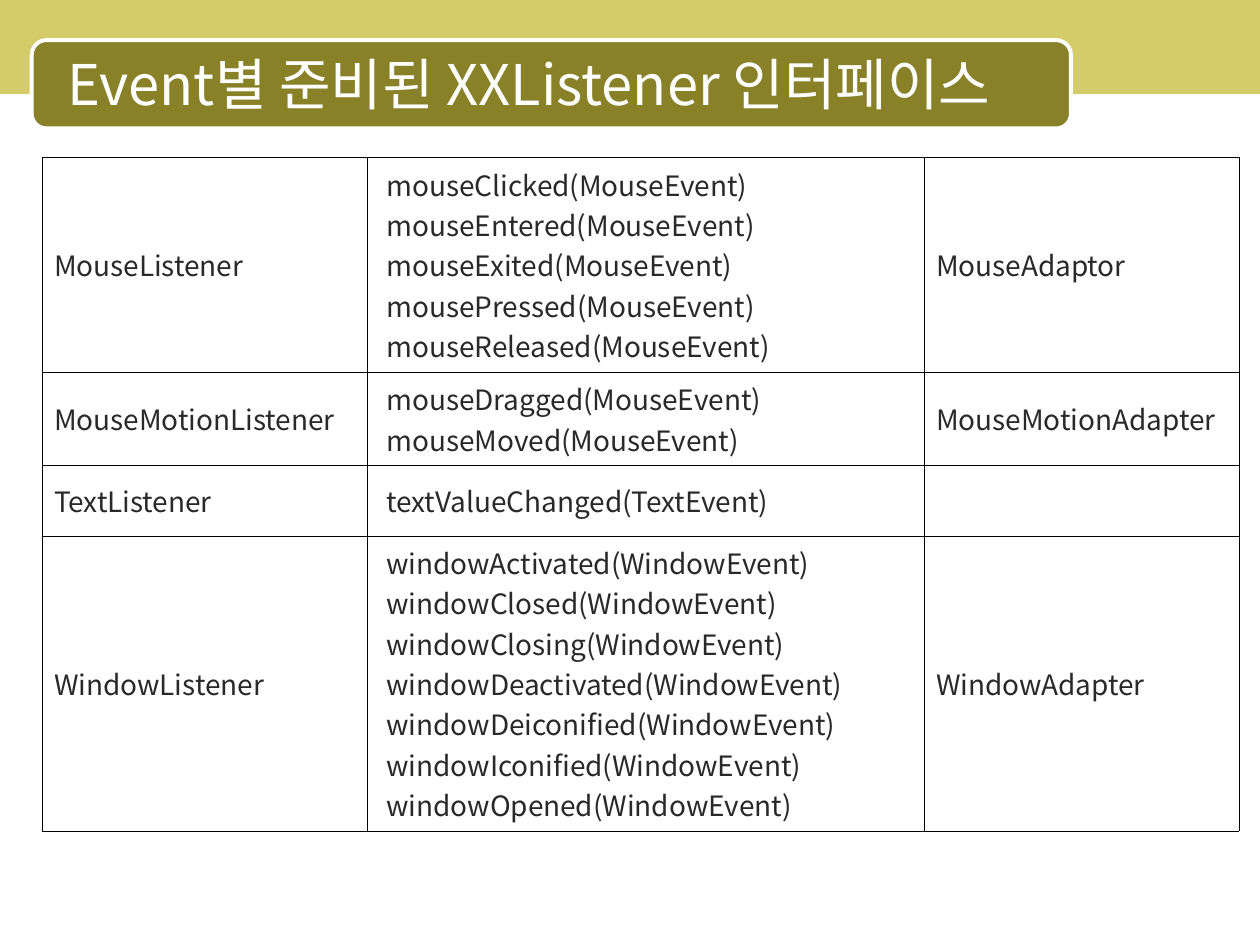
from dataclasses import dataclass

from lxml import etree
from pptx import Presentation
from pptx.dml.color import RGBColor
from pptx.enum import shapes, text
from pptx.oxml import ns
from pptx.util import Cm, Pt


@dataclass(frozen=True)
class Theme:
    """Colours, font and type sizes of the slide."""
    band: str = "D4CC6A"
    plate: str = "888128"
    light: str = "FFFFFF"
    body: str = "292929"
    border: str = "000000"
    font: str = "Noto Sans CJK KR"
    title_size: float = 32
    body_size: float = 16
    plate_line: float = 2.24
    border_width: float = 0.06


THEME = Theme()
TITLE = "Event별 준비된 XXListener 인터페이스"
COLUMN_WIDTHS = (6.55, 11.23, 6.35)
METHOD_COLUMN = 1
# listener, event class, method names, adapter, row height
LISTENERS = (
    ("MouseListener", "MouseEvent",
     ("mouseClicked", "mouseEntered", "mouseExited", "mousePressed",
      "mouseReleased"), "MouseAdaptor", 4.33),
    ("MouseMotionListener", "MouseEvent",
     ("mouseDragged", "mouseMoved"), "MouseMotionAdapter", 1.88),
    ("TextListener", "TextEvent", ("textValueChanged",), "", 1.42),
    ("WindowListener", "WindowEvent",
     ("windowActivated", "windowClosed", "windowClosing",
      "windowDeactivated", "windowDeiconified", "windowIconified",
      "windowOpened"), "WindowAdapter", 5.95),
)


def format_text(text_frame, size, color, alignment):
    """Format every paragraph and run of a text frame."""
    for paragraph in text_frame.paragraphs:
        paragraph.alignment = alignment
        for run in paragraph.runs:
            run.font.size = Pt(size)
            run.font.name = THEME.font
            run.font.color.rgb = RGBColor.from_string(color)
            east_asian = etree.SubElement(run.font._element, ns.qn("a:ea"))
            east_asian.set("typeface", THEME.font)


def add_panel(slide, kind, box, fill, line=None):
    """Add a filled preset shape, outlined if a line colour is given."""
    shape = slide.shapes.add_shape(kind, *map(Cm, box))
    shape.shadow.inherit = False
    shape.fill.solid()
    shape.fill.fore_color.rgb = RGBColor.from_string(fill)
    if line:
        shape.line.color.rgb = RGBColor.from_string(line)
        shape.line.width = Pt(THEME.plate_line)
    else:
        shape.line.fill.background()


def add_title(slide, box):
    """Add the slide title."""
    text_frame = slide.shapes.add_textbox(*map(Cm, box)).text_frame
    text_frame.word_wrap = True
    text_frame.margin_left = Cm(0.52)
    text_frame.vertical_anchor = text.MSO_ANCHOR.MIDDLE
    text_frame.text = TITLE
    format_text(text_frame, THEME.title_size, THEME.light, text.PP_ALIGN.LEFT)


def set_borders(cell):
    """Draw a thin line on all four sides of a cell."""
    properties = cell._tc.get_or_add_tcPr()
    for position, side in enumerate(("lnL", "lnR", "lnT", "lnB")):
        line = etree.Element(ns.qn(f"a:{side}"), w=str(Pt(THEME.border_width)))
        fill = etree.SubElement(line, ns.qn("a:solidFill"))
        etree.SubElement(fill, ns.qn("a:srgbClr"), val=THEME.border)
        properties.insert(position, line)


def fill_cell(cell, content, left_margin):
    """Write and format one table cell."""
    cell.fill.background()
    cell.vertical_anchor = text.MSO_ANCHOR.MIDDLE
    cell.margin_left, cell.margin_right = Cm(left_margin), Cm(0.25)
    cell.margin_top = cell.margin_bottom = Cm(0.13)
    cell.text_frame.text = content
    format_text(cell.text_frame, THEME.body_size, THEME.body,
                text.PP_ALIGN.JUSTIFY)
    set_borders(cell)


def add_listener_table(slide, left, top):
    """Add the table of listeners, their methods and adapters."""
    height = sum(row[-1] for row in LISTENERS)
    table = slide.shapes.add_table(
        len(LISTENERS), len(COLUMN_WIDTHS), Cm(left), Cm(top),
        Cm(sum(COLUMN_WIDTHS)), Cm(height)).table
    table.first_row = table.horz_banding = False
    for column, width in zip(table.columns, COLUMN_WIDTHS):
        column.width = Cm(width)
    for row, listener in zip(table.rows, LISTENERS):
        name, event, methods, adapter, row_height = listener
        row.height = Cm(row_height)
        signatures = "\n".join(f"{method}({event})" for method in methods)
        for index, content in enumerate((name, signatures, adapter)):
            margin = 0.4 if index == METHOD_COLUMN else 0.25
            fill_cell(row.cells[index], content, margin)


def main():
    """Build and save the slide."""
    presentation = Presentation()
    presentation.slide_width, presentation.slide_height = Cm(25.4), Cm(19.05)
    slide = presentation.slides.add_slide(presentation.slide_layouts[6])
    kinds = shapes.MSO_SHAPE
    add_panel(slide, kinds.RECTANGLE, (-0.03, 0, 25.45, 1.9), THEME.band)
    add_panel(slide, kinds.ROUNDED_RECTANGLE, (0.64, 0.81, 20.95, 1.78),
              THEME.plate, THEME.light)
    add_title(slide, (0.84, 0.89, 21.59, 1.57))
    add_listener_table(slide, 0.84, 3.17)
    presentation.save("out.pptx")


main()
